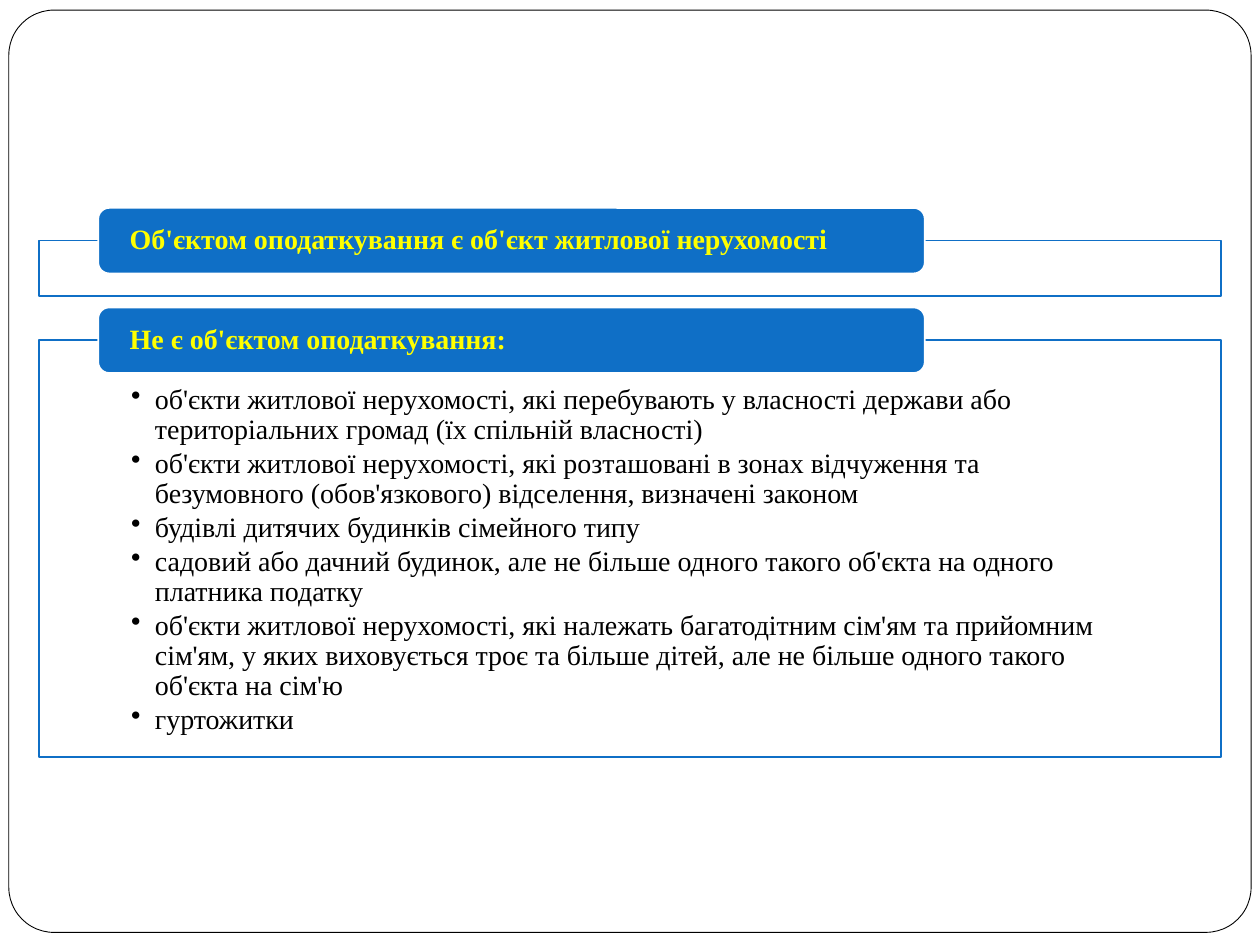
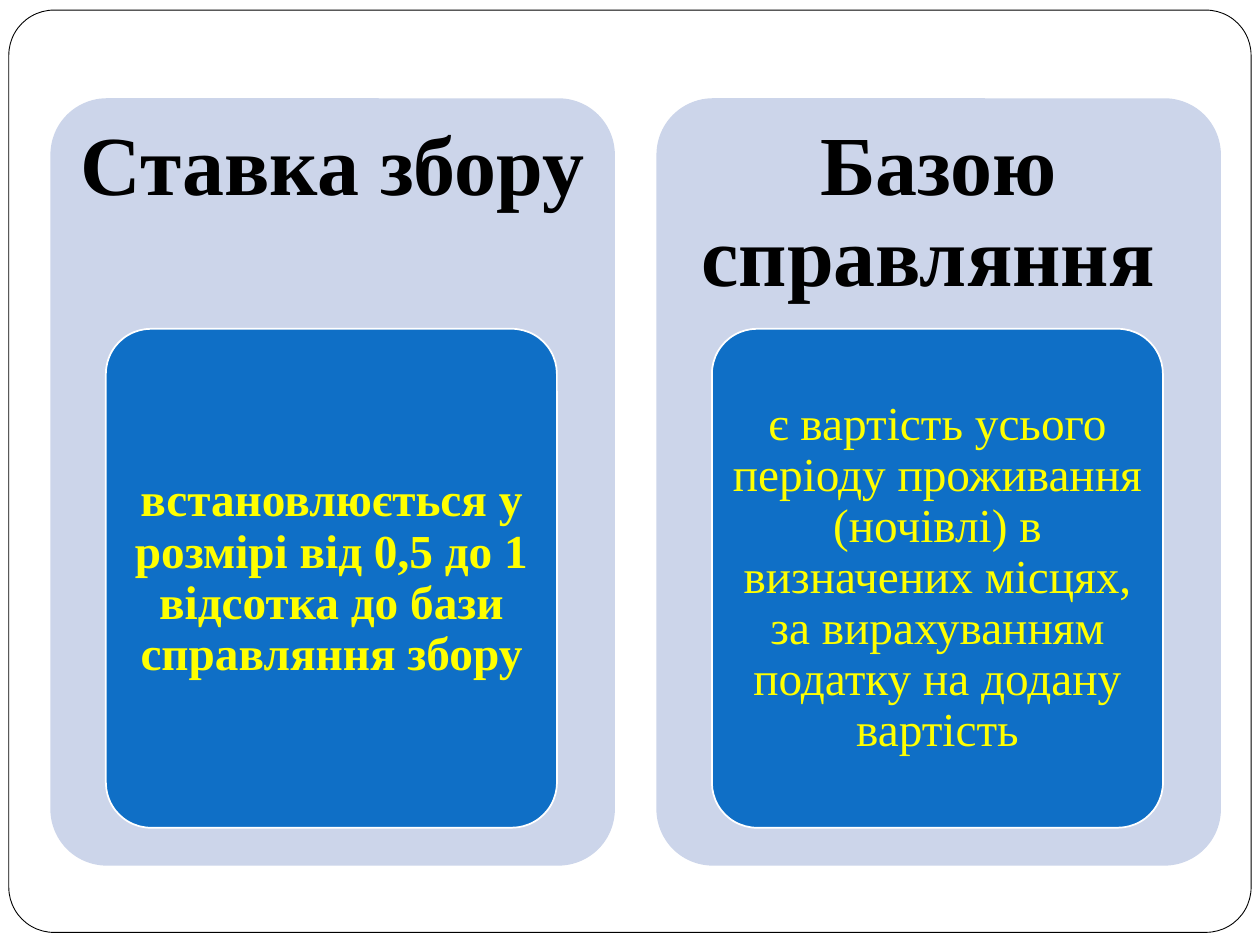
import pptx
import pptx.dml.color
import pptx.enum.shapes
import pptx.enum.text
import pptx.oxml
import pptx.util
from lxml import etree

Inches = pptx.util.Inches
Pt = pptx.util.Pt
RGBColor = pptx.dml.color.RGBColor
Shape = pptx.enum.shapes.MSO_SHAPE
Anchor = pptx.enum.text.MSO_ANCHOR
Align = pptx.enum.text.PP_ALIGN

WHITE = RGBColor(0xFF, 0xFF, 0xFF)
BLACK = RGBColor(0x00, 0x00, 0x00)
BLUE = RGBColor(0x0F, 0x6F, 0xC6)
PALE_BLUE = RGBColor(0xCC, 0xD5, 0xEA)
YELLOW = RGBColor(0xFF, 0xFF, 0x00)

EXEMPTIONS = [
    "об'єкти житлової нерухомості, які перебувають у власності держави або "
    "територіальних громад (їх спільній власності)",
    "об'єкти житлової нерухомості, які розташовані в зонах відчуження та "
    "безумовного (обов'язкового) відселення, визначені законом",
    "будівлі дитячих будинків сімейного типу",
    "садовий або дачний будинок, але не більше одного такого об'єкта на одного "
    "платника податку",
    "об'єкти житлової нерухомості, які належать багатодітним сім'ям та прийомним "
    "сім'ям, у яких виховується троє та більше дітей, але не більше одного такого "
    "об'єкта на сім'ю",
    "гуртожитки",
]

LEVY_CARDS = [
    ("Ставка збору",
     "встановлюється у розмірі від 0,5 до 1 відсотка до бази справляння збору", True),
    ("Базою справляння ",
     "є вартість усього періоду проживання (ночівлі) в визначених місцях, "
     "за вирахуванням податку на додану вартість", False),
]


class Deck:
    """Holds the shared style and the slide being built."""

    font_name = "Times New Roman"

    def __init__(self):
        self.presentation = pptx.Presentation()
        self.presentation.slide_width = Inches(10)
        self.presentation.slide_height = Inches(7.5)
        self.slide = None

    def new_slide(self):
        self.slide = self.presentation.slides.add_slide(self.presentation.slide_layouts[6])
        self.panel((0.07, 0.08, 9.86, 7.32), WHITE, BLACK, 0.5, corner=0.049)

    def panel(self, box, fill, outline=None, weight=1, corner=0):
        kind = Shape.ROUNDED_RECTANGLE if corner else Shape.RECTANGLE
        panel = self.slide.shapes.add_shape(kind, *map(Inches, box))
        panel.shadow.inherit = False
        if corner:
            panel.adjustments[0] = corner
        panel.fill.solid()
        panel.fill.fore_color.rgb = fill
        if outline is None:
            panel.line.fill.background()
        else:
            panel.line.color.rgb = outline
            panel.line.width = Pt(weight)

    def text(self, box, lines, size, color, insets, bold=False,
             anchor=Anchor.MIDDLE, align=Align.LEFT, bulleted=False):
        frame = self.slide.shapes.add_textbox(*map(Inches, box)).text_frame
        frame.word_wrap = True
        frame.vertical_anchor = anchor
        (frame.margin_left, frame.margin_top,
         frame.margin_right, frame.margin_bottom) = map(Inches, insets)
        for index, line in enumerate(lines):
            paragraph = frame.add_paragraph() if index else frame.paragraphs[0]
            paragraph.text = line
            paragraph.alignment = align
            paragraph.line_spacing = 0.9
            if bulleted:
                paragraph.space_after = Pt(2)
                self.bullet(paragraph)
            paragraph.font.name = self.font_name
            paragraph.font.size = Pt(size)
            paragraph.font.bold = bold
            paragraph.font.color.rgb = color

    def bullet(self, paragraph):
        properties = paragraph._p.get_or_add_pPr()
        properties.set("marL", str(Inches(0.19)))
        properties.set("indent", str(Inches(-0.19)))
        mark = etree.SubElement(properties, pptx.oxml.ns.qn("a:buChar"))
        mark.set("char", "•")

    def section(self, top, height, heading, items=()):
        body = (0.31, top, 9.38, height)
        header = (0.78, top - 0.26, 6.56, 0.52)
        self.panel(body, WHITE, BLUE)
        if items:
            self.text(body, items, 16, BLACK, (0.73, 0.36, 0.73, 0.12),
                      anchor=Anchor.TOP, bulleted=True)
        self.panel(header, BLUE, WHITE, corner=0.167)
        self.text(header, [heading], 16, YELLOW, (0.25, 0, 0.25, 0), bold=True)

    def card(self, left, title, detail, bold_detail):
        inner = (left + 0.44, 2.61, 3.58, 3.96)
        self.panel((left, 0.78, 4.48, 6.09), PALE_BLUE, corner=0.1)
        self.text((left, 0.78, 4.48, 1.83), [title], 48, BLACK, (0.2, 0.2, 0.2, 0.2),
                  bold=True, anchor=Anchor.TOP, align=Align.CENTER)
        self.panel(inner, BLUE, WHITE, corner=0.1)
        self.text(inner, [detail], 27, YELLOW, (0.07, 0.06, 0.07, 0.06),
                  bold=bold_detail, align=Align.CENTER)


def main():
    deck = Deck()

    deck.new_slide()
    deck.section(1.91, 0.44, "Об'єктом оподаткування є об'єкт житлової нерухомості")
    deck.section(2.7, 3.31, "Не є об'єктом оподаткування:", EXEMPTIONS)

    deck.new_slide()
    for column, (title, detail, bold_detail) in enumerate(LEVY_CARDS):
        deck.card(0.4 + column * 4.81, title, detail, bold_detail)

    deck.presentation.save("out.pptx")


if __name__ == "__main__":
    main()
